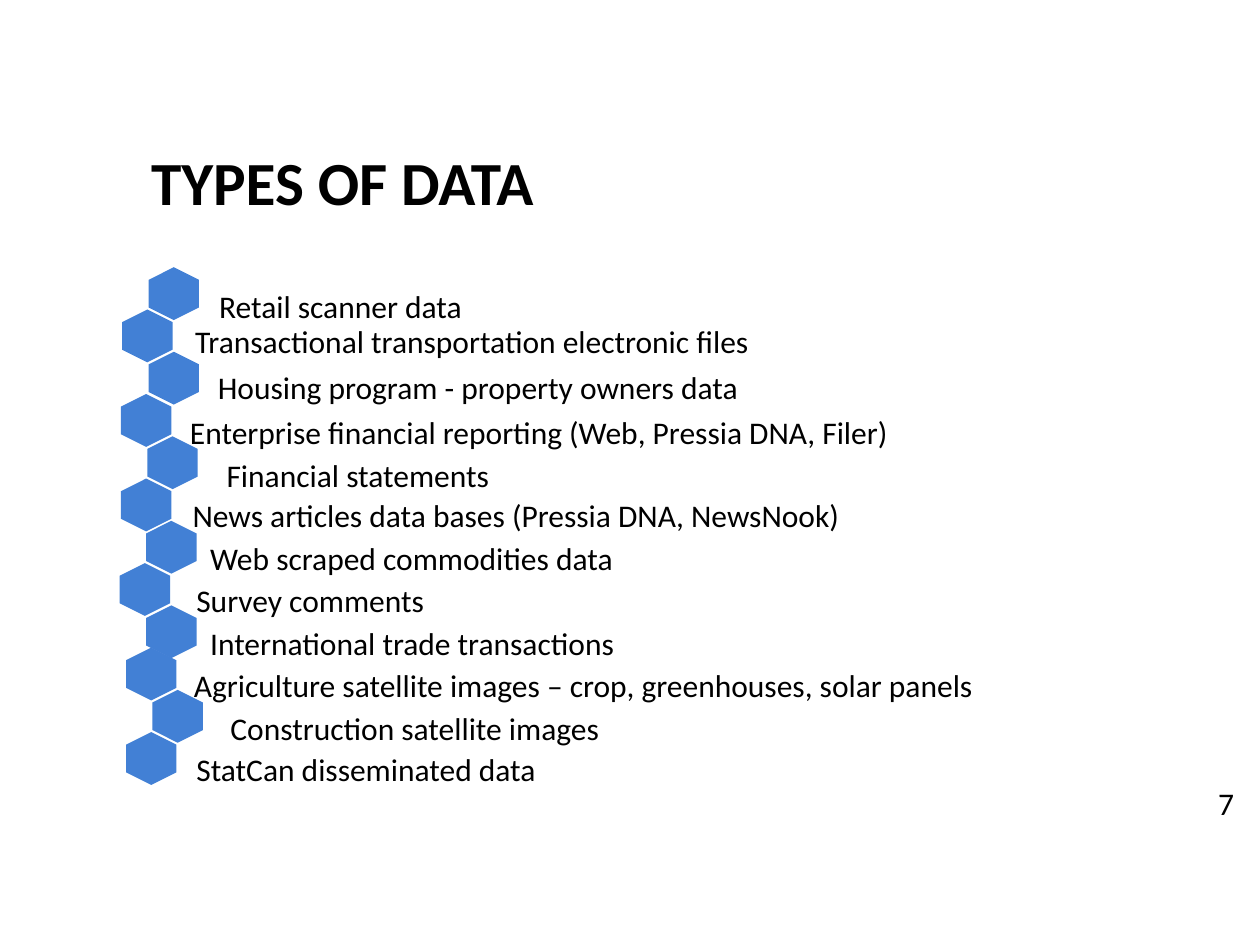
"""Builds the "Types of data" slide: a zigzag of hexagons beside twelve labels."""
from pptx import Presentation
from pptx.dml.color import RGBColor
from pptx.enum.shapes import MSO_SHAPE
from pptx.enum.text import MSO_ANCHOR
from pptx.util import Pt

HEXAGON = MSO_SHAPE.HEXAGON
TOP, MIDDLE = MSO_ANCHOR.TOP, MSO_ANCHOR.MIDDLE
COLORS = {"text": "000000", "hexagon": "4280D5"}
FONT = "Calibri"

HEXAGON_WIDTH, HEXAGON_HEIGHT = 30.2, 28.8
FIRST_HEXAGON_TOP, HEXAGON_PITCH, ZIGZAG = 153.4, 24.15, 15.1
LABEL_HEIGHT = 29

# Each group: left edge of its outer hexagons, then labels as (text, left, top, width)
GROUPS = [
    (69.1, [
        ("Retail scanner data", 118.1, 160.6, 378),
        ("Transactional transportation electronic files", 104.4, 180.7, 357),
        ("Housing program - property owners data", 117.4, 206.6, 389),
    ]),
    (68.4, [
        ("Enterprise financial reporting (Web, Pressia DNA, Filer)", 101.5, 232.6, 449),
        ("Financial statements", 122.4, 257, 357),
        ("News articles data bases (Pressia DNA, NewsNook)", 103, 280.1, 389),
    ]),
    (67.7, [
        ("Web scraped commodities data", 113, 304.6, 378),
        ("Survey comments", 105.1, 328.3, 357),
        ("International trade transactions", 113, 352.8, 389),
    ]),
    (71.3, [
        ("Agriculture satellite images – crop, greenhouses, solar panels", 103.7, 377.3, 467),
        ("Construction satellite images", 124.6, 401.8, 357),
        ("StatCan disseminated data", 105.1, 424.8, 389),
    ]),
]


def add_text(shapes, text, left, top, width, height, size=18, bold=False, anchor=TOP):
    """Add a one-paragraph text box."""
    box = shapes.add_textbox(Pt(left), Pt(top), Pt(width), Pt(height))
    frame = box.text_frame
    frame.word_wrap = True
    frame.vertical_anchor = anchor
    para = frame.paragraphs[0]
    para.text = text
    para.font.name = FONT
    para.font.size = Pt(size)
    para.font.bold = bold
    para.font.color.rgb = RGBColor.from_string(COLORS["text"])
    return para


def add_hexagon(shapes, left, top):
    """Add a hexagon standing on its point."""
    hexagon = shapes.add_shape(
        HEXAGON, Pt(left), Pt(top), Pt(HEXAGON_WIDTH), Pt(HEXAGON_HEIGHT))
    hexagon.rotation = 90
    hexagon.shadow.inherit = False
    hexagon.fill.solid()
    hexagon.fill.fore_color.rgb = RGBColor.from_string(COLORS["hexagon"])
    hexagon.line.fill.background()


def add_data_group(page, first_row, outer_left, labels):
    """Add a group of labels with their hexagons, even rows set further right."""
    shapes = page.shapes.add_group_shape().shapes
    for text, left, top, width in labels:
        add_text(shapes, text, left, top, width, LABEL_HEIGHT)
    for row in range(first_row, first_row + len(labels)):
        left = outer_left + (ZIGZAG if row % 2 == 0 else 0)
        add_hexagon(shapes, left, FIRST_HEXAGON_TOP + row * HEXAGON_PITCH)


def main():
    """Build and save the slide."""
    deck = Presentation()
    deck.slide_width, deck.slide_height = Pt(720), Pt(540)
    page = deck.slides.add_slide(deck.slide_layouts[6])

    title = add_text(page.shapes, "TYPES OF DATA", 79.2, 78.5, 548.6, 55.4,
                     size=35, bold=True, anchor=MIDDLE)
    title.line_spacing = 0.9

    first_row = 0
    for outer_left, labels in GROUPS:
        add_data_group(page, first_row, outer_left, labels)
        first_row += len(labels)

    add_text(page.shapes, "7", 689, 444.2, 98, LABEL_HEIGHT)
    deck.save("out.pptx")


if __name__ == "__main__":
    main()
